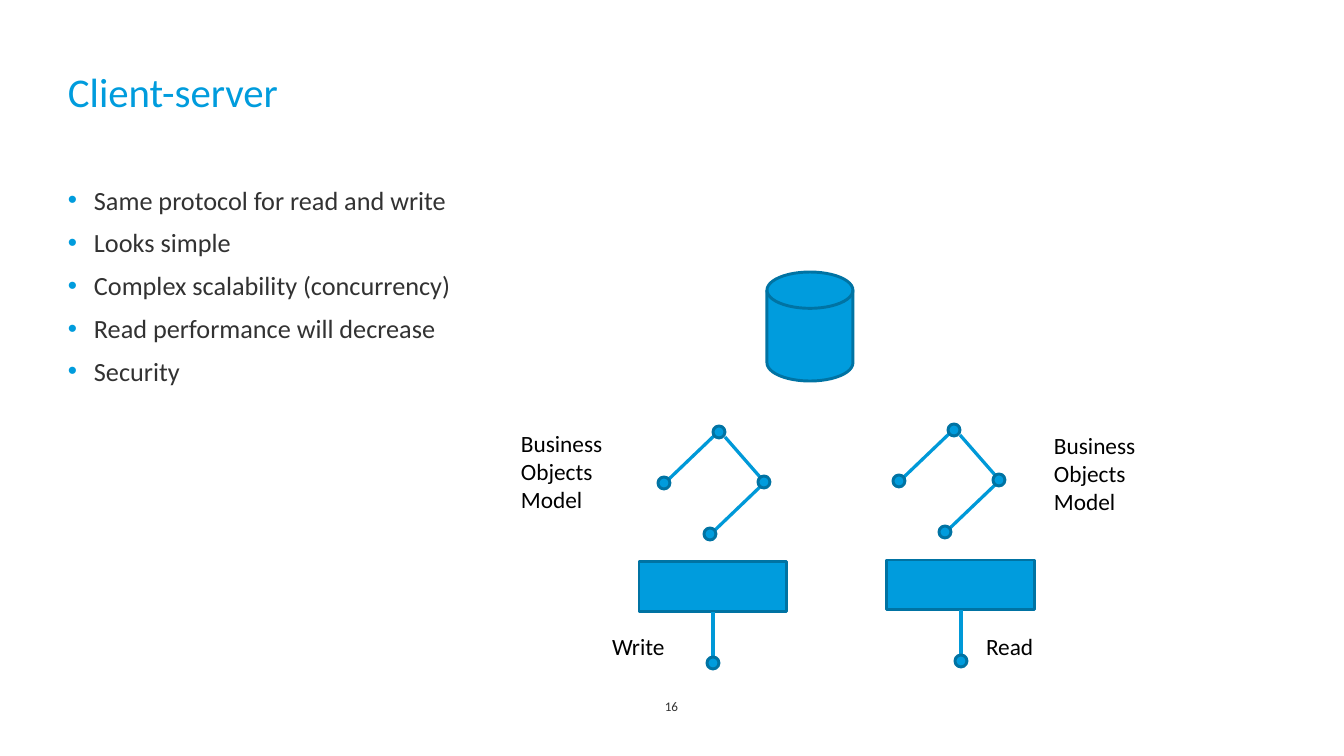
from lxml import etree
from pptx import Presentation
from pptx.dml.color import RGBColor
from pptx.enum.shapes import MSO_CONNECTOR, MSO_SHAPE
from pptx.enum.text import MSO_ANCHOR, PP_ALIGN
from pptx.oxml.ns import qn
from pptx.util import Emu, Pt

LINE = MSO_CONNECTOR.STRAIGHT
CYLINDER = MSO_SHAPE.FLOWCHART_MAGNETIC_DISK
OVAL = MSO_SHAPE.OVAL
RECTANGLE = MSO_SHAPE.RECTANGLE
TOP, BOTTOM = MSO_ANCHOR.TOP, MSO_ANCHOR.BOTTOM
LEFT, CENTER = PP_ALIGN.LEFT, PP_ALIGN.CENTER

FONT = "Calibri"
COLORS = {
    "blue": "009CDD",
    "outline": "0073A3",
    "link": "0099D8",
    "body": "323232",
    "label": "000000",
}
PIXELS_PER_INCH = 105
NODE_SIZE = 12
TREE_NODES = [(0, 0), (-55, 51), (45, 50), (-9, 102)]
TREE_LINKS = [((-50, 47), (-3, 2)), ((41, 45), (6, 5)), ((-5, 99), (41, 55))]
BULLETS = [
    "Same protocol for read and write",
    "Looks simple",
    "Complex scalability (concurrency)",
    "Read performance will decrease",
    "Security",
]


def px(value):
    return Emu(round(value * 914400 / PIXELS_PER_INCH))


def color(name):
    return RGBColor.from_string(COLORS[name])


def add_text(slide, text, box, size, color_name, margins=(10, 5),
             align=LEFT, anchor=TOP, space_before=0):
    shape = slide.shapes.add_textbox(*map(px, box))
    frame = shape.text_frame
    frame.word_wrap = True
    frame.vertical_anchor = anchor
    frame.margin_left = frame.margin_right = px(margins[0])
    frame.margin_top = frame.margin_bottom = px(margins[1])
    frame.text = text
    for paragraph in frame.paragraphs:
        paragraph.alignment = align
        paragraph.space_before = Pt(space_before)
        for run in paragraph.runs:
            run.font.name = FONT
            run.font.size = Pt(size)
            run.font.color.rgb = color(color_name)
    return shape


def add_bullets(shape, indent):
    for paragraph in shape.text_frame.paragraphs:
        properties = paragraph._p.get_or_add_pPr()
        properties.set("marL", str(px(indent)))
        properties.set("indent", str(-px(indent)))
        bullet_color = etree.SubElement(properties, qn("a:buClr"))
        etree.SubElement(bullet_color, qn("a:srgbClr"), val=COLORS["blue"])
        etree.SubElement(properties, qn("a:buFont"), typeface="Arial")
        etree.SubElement(properties, qn("a:buChar"), char="•")


def add_block(slide, kind, box):
    shape = slide.shapes.add_shape(kind, *map(px, box))
    shape.shadow.inherit = False
    shape.fill.solid()
    shape.fill.fore_color.rgb = color("blue")
    shape.line.color.rgb = color("outline")
    shape.line.width = Pt(2)


def add_link(slide, start, end):
    connector = slide.shapes.add_connector(LINE, *map(px, (*start, *end)))
    connector.line.color.rgb = color("link")
    connector.line.width = Pt(2.25)
    etree.SubElement(connector._element.spPr, qn("a:effectLst"))


def add_node(slide, x, y):
    half = NODE_SIZE / 2
    add_block(slide, OVAL, (x - half, y - half, NODE_SIZE, NODE_SIZE))


def add_object_tree(slide, x, y):
    for start, end in TREE_LINKS:
        add_link(slide, (x + start[0], y + start[1]), (x + end[0], y + end[1]))
    for offset_x, offset_y in TREE_NODES:
        add_node(slide, x + offset_x, y + offset_y)


def add_service(slide, left, top):
    width, height = 148, 50
    center = left + width / 2
    add_block(slide, RECTANGLE, (left, top, width, height))
    add_link(slide, (center, top + 95), (center, top + height))
    add_node(slide, center, top + 101)


def main():
    presentation = Presentation()
    presentation.slide_width = px(1344)
    presentation.slide_height = px(756)
    slide = presentation.slides.add_slide(presentation.slide_layouts[6])

    add_text(slide, "16", (636, 691, 71, 29), 9, "body", (14, 6), CENTER, BOTTOM)
    add_text(slide, "Client-server", (68, 67, 1206, 117), 28, "blue",
             (0, 0), space_before=7.7)
    body = add_text(slide, "\n".join(BULLETS), (68, 184, 1206, 465), 18, "body",
                    (0, 0), space_before=7.7)
    add_bullets(body, 26)

    add_block(slide, CYLINDER, (767, 272, 86, 109))
    for x, y in [(719, 432), (954, 430)]:
        add_object_tree(slide, x, y)
    for left, top in [(639, 562), (887, 560)]:
        add_service(slide, left, top)

    for left, top in [(511, 424), (1044, 426)]:
        add_text(slide, "Business Objects Model", (left, top, 135, 118), 16, "label")
    for text, left in [("Read", 976), ("Write", 602)]:
        add_text(slide, text, (left, 627, 90, 39), 16, "label")

    presentation.save("out.pptx")


main()
